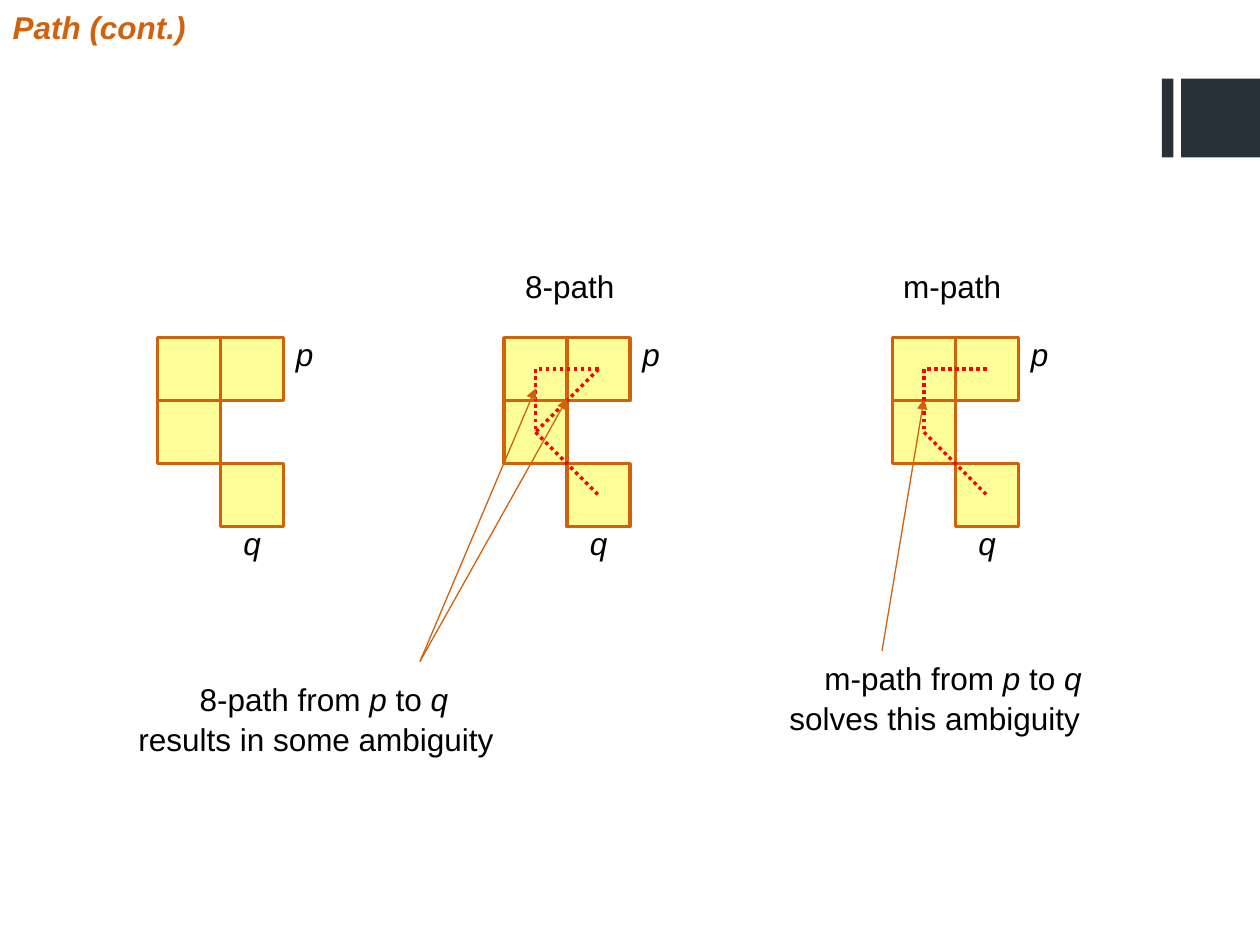
import pptx
import pptx.dml.color
import pptx.enum.dml
import pptx.enum.shapes
import pptx.enum.text
import pptx.oxml.ns
import pptx.util
from lxml import etree

Pt = pptx.util.Pt
qn = pptx.oxml.ns.qn
ORANGE, YELLOW, RED, DARK, BLACK = "D2610C", "FFFF99", "FF0000", "283138", "000000"
CELL = 36


def color(value):
    return pptx.dml.color.RGBColor.from_string(value)


def write(sp, lines, value=BLACK, bold=False, indent=0):
    tf = sp.text_frame
    tf.word_wrap = True
    tf.vertical_anchor = pptx.enum.text.MSO_ANCHOR.TOP
    tf.margin_left = tf.margin_right = Pt(7.2)
    tf.margin_top = tf.margin_bottom = Pt(3.6)
    for i, runs in enumerate(lines):
        p = tf.add_paragraph() if i else tf.paragraphs[0]
        p.alignment = pptx.enum.text.PP_ALIGN.LEFT
        p.line_spacing = 1.05
        p.font.name, p.font.size, p.font.bold = "Arial", Pt(18), bold
        p.font.color.rgb = color(value)
        if indent and i == 0:
            p._p.get_or_add_pPr().set("marL", str(Pt(indent)))
        for text, italic in runs:
            r = p.add_run()
            r.text, r.font.italic = text, italic


def add_text(shapes, x, y, w, h, lines, indent=0):
    sp = shapes.add_textbox(Pt(x), Pt(y), Pt(w), Pt(h))
    write(sp, lines, indent=indent)


def add_rect(shapes, x, y, w, h, fill, line=None):
    sp = shapes.add_shape(pptx.enum.shapes.MSO_SHAPE.RECTANGLE, Pt(x), Pt(y), Pt(w), Pt(h))
    sp.shadow.inherit = False
    sp.fill.solid()
    sp.fill.fore_color.rgb = color(fill)
    if line:
        sp.line.color.rgb = color(line)
        sp.line.width = Pt(2)
    else:
        sp.line.fill.background()


def add_line(shapes, start, end, value, width):
    cn = shapes.add_connector(pptx.enum.shapes.MSO_CONNECTOR.STRAIGHT,
                              *(Pt(v) for v in (*start, *end)))
    cn.line.color.rgb = color(value)
    cn.line.width = Pt(width)
    etree.SubElement(cn._element.spPr, qn("a:effectLst"))
    return cn


def add_arrow(shapes, start, end):
    cn = add_line(shapes, start, end, ORANGE, 0.75)
    etree.SubElement(cn.line._get_or_add_ln(), qn("a:tailEnd"), type="triangle")


def add_title(slide, x, y, w, h):
    sp = slide.shapes.title
    sp.left, sp.top, sp.width, sp.height = Pt(x), Pt(y), Pt(w), Pt(h)
    write(sp, [[("Path (cont.)", True)]], ORANGE, bold=True)


def add_corner_bars(shapes, x, y, w, h):
    add_rect(shapes, x, y, 6.5, h, DARK)
    add_rect(shapes, x + w - h, y, h, h, DARK)


def add_pixels(shapes, x, y):
    group = shapes.add_group_shape().shapes
    for col, row in ((0, 0), (1, 0), (1, 2), (0, 1)):
        add_rect(group, x + col * CELL, y + row * CELL, CELL, CELL, YELLOW, ORANGE)
    add_text(group, x + 2 * CELL, y - 6, 27, 36, [[("p", True)]])
    add_text(group, x + 42, y + 102, 27, 36, [[("q", True)]])


def add_path(shapes, x, y, steps):
    def center(cell):
        return x + (cell[0] + 0.5) * CELL, y + (cell[1] + 0.5) * CELL

    for start, end in steps:
        cn = add_line(shapes, center(start), center(end), RED, 2)
        cn.line.dash_style = pptx.enum.dml.MSO_LINE.ROUND_DOT


def add_caption(shapes, x, y, w, h, name, conclusion, indent):
    first = [(name + " from ", False), ("p", True), (" to ", False), ("q", True)]
    add_text(shapes, x, y, w, h, [first, [(conclusion, False)]], indent)


def main():
    prs = pptx.Presentation()
    prs.slide_width, prs.slide_height = Pt(720), Pt(540)
    s = prs.slides.add_slide(prs.slide_layouts[5])
    shapes = s.shapes
    top, plain, eight, mixed = 193, 90, 288, 510

    add_corner_bars(shapes, 664, 45, 56, 45)
    add_title(s, 0, 0, 146, 36)
    for x in (eight, mixed, plain):
        add_pixels(shapes, x, top)

    m_steps = [((1, 0), (0, 0)), ((0, 0), (0, 1)), ((0, 1), (1, 2))]
    add_path(shapes, eight, top, m_steps + [((1, 0), (0, 1))])
    add_path(shapes, mixed, top, m_steps)

    add_caption(shapes, 72, 384, 261, 65, "8-path", "results in some ambiguity", 35)
    add_caption(shapes, 444, 372, 220, 65, "m-path", "solves this ambiguity", 20)
    add_text(shapes, 293, 148, 76, 36, [[("8-path", False)]])
    add_text(shapes, 509, 148, 82, 36, [[("m-path", False)]])

    for start, end in (((240, 378), (324, 228)), ((240, 378), (306, 222)),
                       ((504, 372), (528, 228))):
        add_arrow(shapes, start, end)
    prs.save("out.pptx")


if __name__ == "__main__":
    main()
